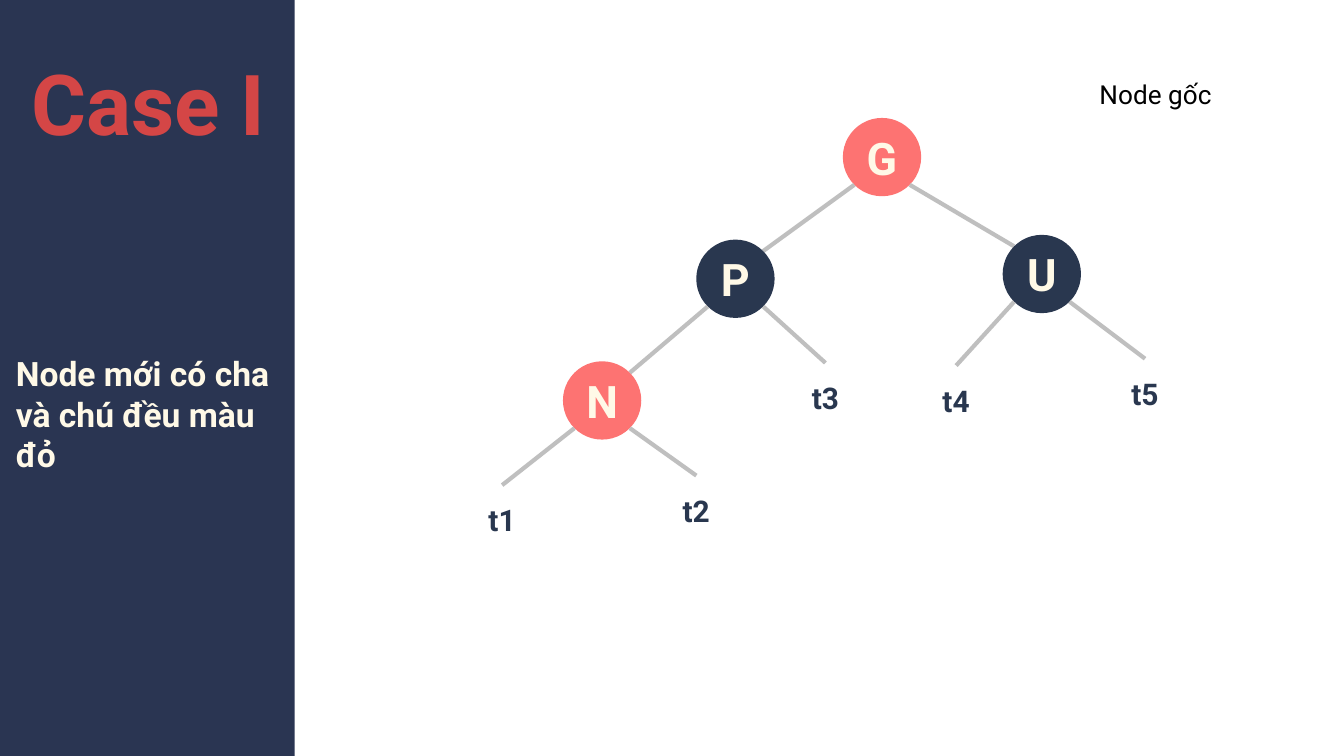
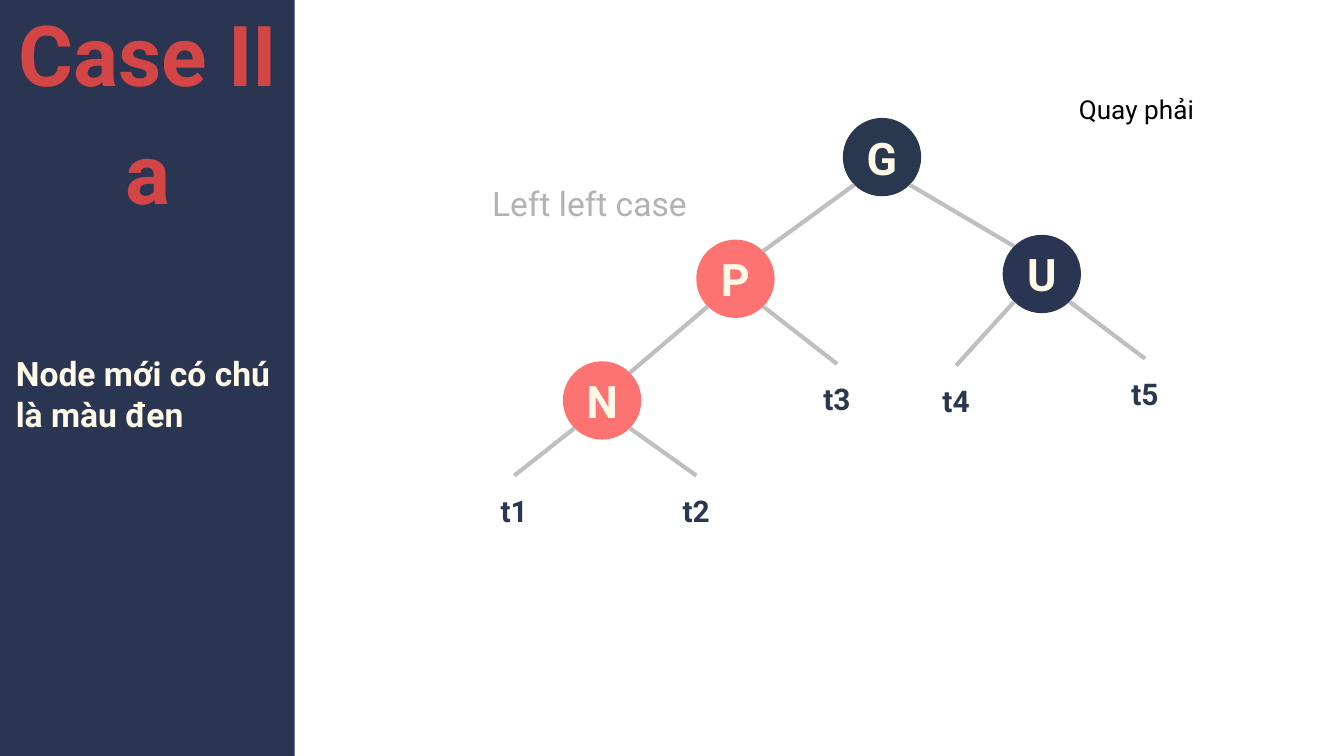
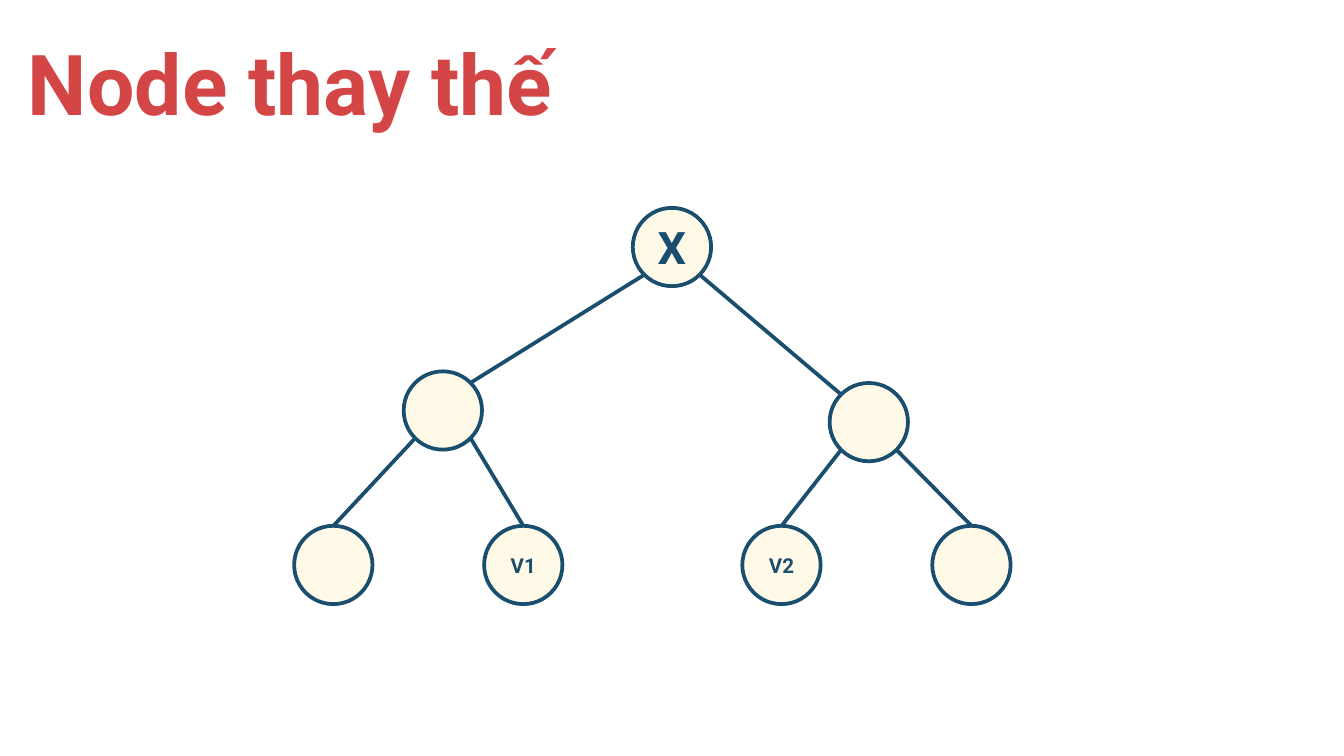
from dataclasses import dataclass
from math import sqrt
from typing import Optional

from lxml.etree import SubElement
from pptx import Presentation
from pptx.dml.color import RGBColor
from pptx.enum.shapes import MSO_CONNECTOR as Connector
from pptx.enum.shapes import MSO_SHAPE as Preset
from pptx.enum.text import MSO_ANCHOR as Anchor
from pptx.enum.text import MSO_AUTO_SIZE as AutoSize
from pptx.enum.text import PP_ALIGN as Align
from pptx.oxml.ns import qn
from pptx.util import Cm, Pt

NAVY = RGBColor(0x2A, 0x35, 0x52)
INK = RGBColor(0x29, 0x37, 0x4F)
CORAL = RGBColor(0xFD, 0x73, 0x72)
CREAM = RGBColor(0xFF, 0xF9, 0xE7)
TEAL = RGBColor(0x1A, 0x4E, 0x6E)
RED = RGBColor(0xD4, 0x46, 0x46)
SILVER = RGBColor(0xBF, 0xBF, 0xBF)
GRAY = RGBColor(0xB5, 0xB1, 0xB0)
BLACK = RGBColor(0, 0, 0)

FONT = "Roboto"
CIRCLE_RADIUS = 0.74
LABEL_RADIUS = 0.66
TITLE = {"size": Pt(45), "bold": True, "color": RED}
SUMMARY = {"size": Pt(18), "bold": True, "color": CREAM}
CAPTION = {"size": Pt(18), "color": GRAY}
NOTE = {"size": Pt(14), "color": BLACK}
LABEL = {"size": Pt(16), "bold": True, "color": INK}
LETTER = {"size": Pt(24), "bold": True, "color": CREAM}
KEY = {"size": Pt(24), "bold": True, "color": TEAL}
SMALL_KEY = {"size": Pt(11), "bold": True, "color": TEAL}


@dataclass
class Node:
    x: float
    y: float
    text: str = ""
    style: Optional[dict] = None
    fill: Optional[RGBColor] = None
    outline: Optional[RGBColor] = None
    children: tuple = ()

    @property
    def radius(self):
        return CIRCLE_RADIUS if self.fill else LABEL_RADIUS


def write(frame, lines, style, align=Align.LEFT, leading=None):
    for number, line in enumerate(lines):
        para = frame.add_paragraph() if number else frame.paragraphs[0]
        para.alignment = align
        if leading:
            para.line_spacing = leading
        span = para.add_run()
        span.text = line
        span.font.name = FONT
        for name, value in style.items():
            if name == "color":
                span.font.color.rgb = value
            else:
                setattr(span.font, name, value)


def set_margins(frame, margin):
    for side in ("left", "top", "right", "bottom"):
        setattr(frame, f"margin_{side}", margin)


def add_text(page, place, lines, style, margin=None, anchor=Anchor.TOP, **layout):
    box = page.shapes.add_textbox(*map(Cm, place))
    frame = box.text_frame
    frame.word_wrap = True
    frame.auto_size = AutoSize.SHAPE_TO_FIT_TEXT
    frame.vertical_anchor = anchor
    if margin is not None:
        set_margins(frame, margin)
    write(frame, lines, style, **layout)


def add_title(page, place, lines, **layout):
    add_text(page, place, lines, TITLE, margin=0, leading=Pt(63), **layout)


def add_shape(page, preset, place, fill=None, outline=None):
    shape = page.shapes.add_shape(preset, *map(Cm, place))
    shape.shadow.inherit = False
    if fill:
        shape.fill.solid()
        shape.fill.fore_color.rgb = fill
    else:
        shape.fill.background()
    if outline:
        shape.line.color.rgb = outline
        shape.line.width = Pt(2)
    else:
        shape.line.fill.background()
    return shape


def add_sidebar(page, summary):
    add_shape(page, Preset.RECTANGLE, (-0.03, -0.03, 5.6, 14.4), NAVY)
    add_text(page, (0.3, 6.68, 5, 2.3), [summary], SUMMARY, margin=0)


def add_node(page, node):
    preset = Preset.OVAL if node.fill else Preset.ROUNDED_RECTANGLE
    place = (node.x - node.radius, node.y - node.radius, 2 * node.radius, 2 * node.radius)
    shape = add_shape(page, preset, place, node.fill, node.outline)
    if node.text:
        frame = shape.text_frame
        frame.word_wrap = False
        frame.vertical_anchor = Anchor.MIDDLE
        set_margins(frame, 0)
        write(frame, [node.text], node.style, Align.CENTER)


def add_edge(page, parent, child, color, width):
    side = 1 if child.x > parent.x else -1
    corner = CIRCLE_RADIUS / sqrt(2)
    start = (parent.x + side * corner, parent.y + corner)
    if child.children:
        end = (child.x - side * corner, child.y - corner)
    else:
        end = (child.x, child.y - child.radius)
    edge = page.shapes.add_connector(Connector.STRAIGHT, *map(Cm, start + end))
    edge.line.color.rgb = color
    edge.line.width = width
    SubElement(edge._element.spPr, qn("a:effectLst"))


def add_tree(page, node, color, width):
    add_node(page, node)
    for child in node.children:
        add_edge(page, node, child, color, width)
        add_tree(page, child, color, width)


def family_tree(colors, t1, t3):
    def label(text, x, y):
        return Node(x, y, text, LABEL)

    def member(text, x, y, *children):
        return Node(x, y, text, LETTER, colors[text], children=children)

    new = member("N", 11.38, 7.57, label("t1", *t1), label("t2", 13.16, 9.65))
    father = member("P", 13.9, 5.27, new, label("t3", *t3))
    uncle = member("U", 19.69, 5.18, label("t4", 18.07, 7.57), label("t5", 21.64, 7.44))
    return member("G", 16.67, 2.97, father, uncle)


def search_tree():
    def cell(x, y, *children, text="", style=KEY):
        return Node(x, y, text, style, CREAM, TEAL, children)

    def leaf(x, text=""):
        return cell(x, 10.68, text=text, style=SMALL_KEY)

    left = cell(8.37, 7.76, leaf(6.3), leaf(9.89, "V1"))
    right = cell(16.42, 7.98, leaf(14.77, "V2"), leaf(18.36))
    return cell(12.7, 4.67, left, right, text="X")


def build_case_one(page):
    add_sidebar(page, "Node mới có cha và chú đều màu đỏ")
    add_title(page, (0.5, 0.66, 4.6, 2.1), ["Case I"], align=Align.CENTER)
    colors = {"G": CORAL, "P": INK, "U": INK, "N": CORAL}
    add_tree(page, family_tree(colors, (9.49, 9.83), (15.6, 7.52)), SILVER, Pt(2.25))
    add_text(page, (20.53, 1.35, 2.77, 0.86), ["Node gốc"], NOTE)


def build_case_two(page):
    add_sidebar(page, "Node mới có chú là màu đen")
    add_title(page, (0.3, -0.2, 5, 4.32), ["Case II", "a"],
              anchor=Anchor.MIDDLE, align=Align.CENTER)
    add_text(page, (9.05, 3.33, 4.3, 1.02), ["Left left case"], CAPTION)
    colors = {"G": INK, "P": CORAL, "U": NAVY, "N": CORAL}
    add_tree(page, family_tree(colors, (9.72, 9.65), (15.82, 7.54)), SILVER, Pt(2.25))
    add_text(page, (20.14, 1.65, 3.23, 0.86), ["Quay phải"], NOTE)


def build_replacement(page):
    add_title(page, (0.53, 0.28, 12.98, 2.1), ["Node thay thế"])
    add_tree(page, search_tree(), TEAL, Pt(2))


def main():
    deck = Presentation()
    deck.slide_width = Cm(25.4)
    deck.slide_height = Cm(14.29)
    for build in (build_case_one, build_case_two, build_replacement):
        build(deck.slides.add_slide(deck.slide_layouts[6]))
    deck.save("out.pptx")


if __name__ == "__main__":
    main()
